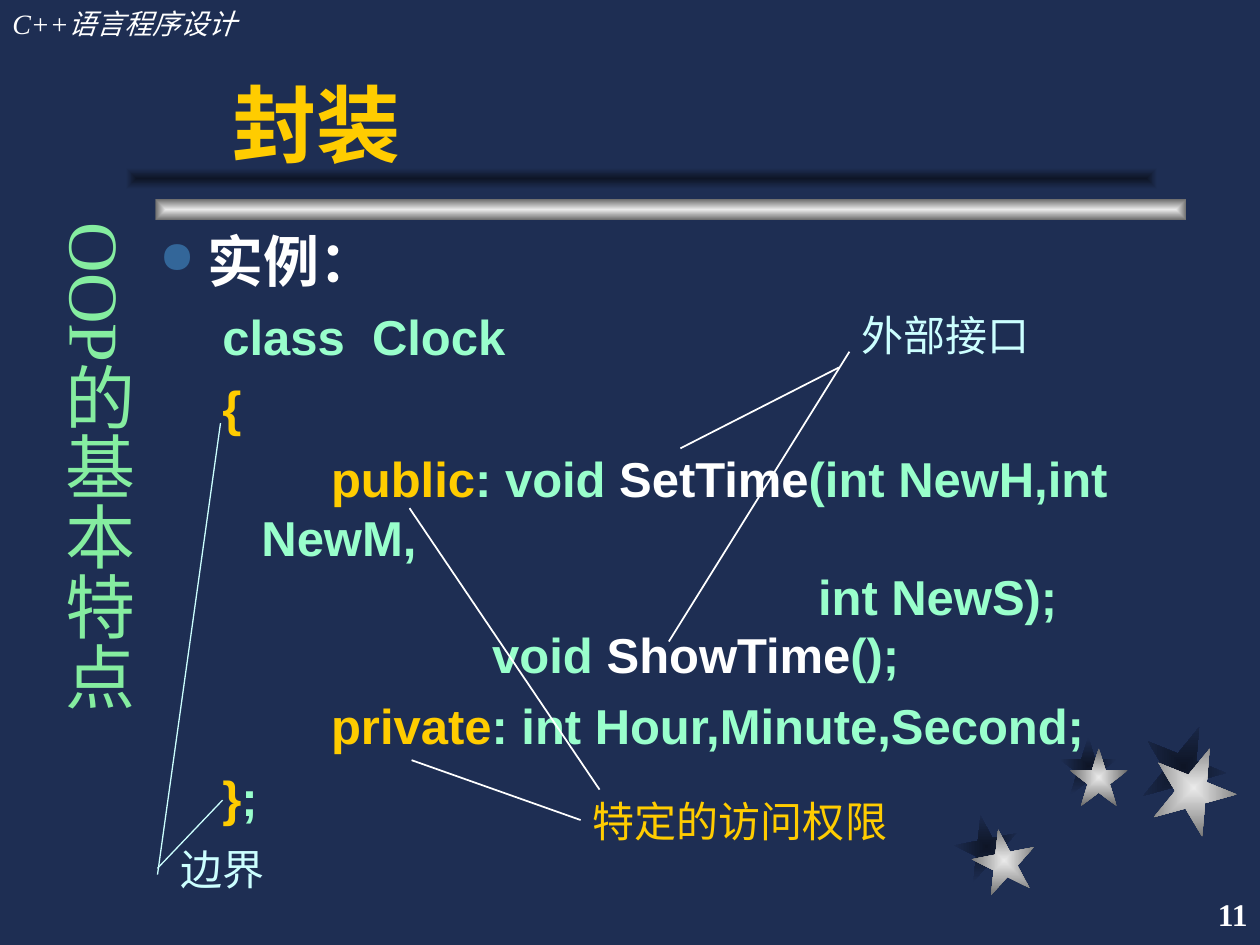
from pptx import Presentation
from pptx import util as u
from pptx.dml.color import RGBColor
from pptx.enum import shapes, text
from pptx.oxml import parse_xml
from pptx.oxml.ns import nsdecls, qn

# Theme: colours, fonts and type sizes
THEME = {
    "back": "1E2E53", "dark": "0E1526", "pale": "EAEAEA", "grey": "6C6C6C",
    "white": "FFFFFF", "gold": "FFCC00", "mint": "99FFCC", "ice": "CCFFFF",
    "green": "85EDA0", "dot": "336699",
    "sans": "Arial", "serif": "Times New Roman",
    "head": 16, "page": 18, "note": 24, "code": 28, "lead": 32,
    "side": 40, "title": 48,
}

# Content; places are in cells of a grid of 120 columns by 90 rows
COLS, ROWS = 120, 90

STEEL, SHADE = ("pale", "grey"), ("dark", "back")
STARS = [  # left, top, side, turn, colours
    (90.96, 77.64, 6, -11, SHADE),
    (100.9, 70.2, 5.5, 0, SHADE),
    (108.7, 69, 8, 22, SHADE),
    (92.64, 78.96, 6, -11, STEEL),
    (101.9, 71.28, 5.5, 0, STEEL),
    (109.7, 71.04, 8, 22, STEEL),
]
BARS = [((14.8, 18.96, 98.2, 2), STEEL), ((12, 16, 98.2, 2), SHADE)]

NOTES = [  # words, box, size, colour
    ("边界", (16, 79.7, 12, 6), "note", "ice"),
    ("特定的访问权限", (55.3, 75.2, 31, 6), "note", "gold"),
    ("外部接口", (80.9, 28.9, 22.6, 6), "note", "ice"),
]
LINES = [  # from, to, colour, width
    ((21, 40.3), (15, 83.3), "ice", 0.75),
    ((21.2, 76.2), (15, 82.7), "ice", 0.75),
    ((63.7, 61.1), (80.9, 33.5), "white", 1),
    ((64.8, 42.7), (79.9, 35), "white", 1),
    ((39, 48.4), (57.1, 75.2), "white", 1),
    ((39.2, 72.4), (55.3, 78.1), "white", 1),
]
CODE = [  # paragraphs of (words, colour); a new line is a soft break
    [("class  Clock", "mint")],
    [("{", "gold")],
    [("        ", "mint"), ("public", "gold"), (": void ", "mint"),
     ("SetTime", "white"),
     ("(int NewH,int NewM,\n"
      "                                         int NewS);\n"
      "                 void ", "mint"),
     ("ShowTime", "white"), ("();", "mint")],
    [("        ", "mint"), ("private", "gold"),
     (": int Hour,Minute,Second;", "mint")],
    [("}", "gold"), (";", "mint")],
]

deck = Presentation()
deck.slide_width, deck.slide_height = u.Inches(10), u.Inches(7.5)
slide = deck.slides.add_slide(deck.slide_layouts[6])


def place(*cells):
    """Turn column, row pairs into slide lengths."""
    units = (deck.slide_width / COLS, deck.slide_height / ROWS)
    return [round(c * units[i % 2]) for i, c in enumerate(cells)]


def tint(name):
    return RGBColor.from_string(THEME[name])


def add_run(para, words, size, color, face="serif", bold=False, slant=False):
    for i, line in enumerate(words.split("\n")):
        if i:
            para.add_line_break()
        run = para.add_run()
        run.text = line
        font = run.font
        font.name, font.size = THEME[face], u.Pt(THEME[size])
        font.bold, font.italic = bold, slant
        font.color.rgb = tint(color)


def add_box(*cells):
    frame = slide.shapes.add_textbox(*place(*cells)).text_frame
    frame.word_wrap = True
    return frame


def add_steel(kind, cells, pair, turn=0):
    """Add a shape whose colours run from its centre to its edge."""
    shape = slide.shapes.add_shape(kind, *place(*cells))
    shape.rotation = turn
    shape.shadow.inherit = False
    shape.line.fill.background()
    shape.fill.gradient()
    for stop, name in zip(shape.fill.gradient_stops, pair):
        stop.color.rgb = tint(name)
    grad = shape._element.spPr.find(qn("a:gradFill"))
    grad.remove(grad.find(qn("a:lin")))
    grad.append(parse_xml(
        f'<a:path {nsdecls("a")} path="rect"><a:fillToRect l="50000" '
        't="50000" r="50000" b="50000"/></a:path>'))


def indent(para, left, first):
    props = para._p.get_or_add_pPr()
    props.set("marL", str(u.Inches(left)))
    props.set("indent", str(u.Inches(first)))
    return props


# Background, stars and bars
slide.background.fill.solid()
slide.background.fill.fore_color.rgb = tint("back")
for left, top, side, turn, pair in STARS:
    add_steel(shapes.MSO_SHAPE.STAR_5_POINT, (left, top, side, side), pair, turn)
for cells, pair in BARS:
    add_steel(shapes.MSO_SHAPE.RECTANGLE, cells, pair)

# Running head and page number
add_run(add_box(0, 0, 37, 4.4).paragraphs[0], "C++语言程序设计",
        "head", "white", slant=True)
page = add_box(95, 84, 25, 6)
page.word_wrap = False
page.vertical_anchor = text.MSO_ANCHOR.MIDDLE
page.paragraphs[0].alignment = text.PP_ALIGN.RIGHT
add_run(page.paragraphs[0], "11", "page", "white", bold=True)

# Title
title = add_box(21, 6, 91, 11)
title.vertical_anchor = text.MSO_ANCHOR.BOTTOM
title.paragraphs[0].line_spacing = 0.8
add_run(title.paragraphs[0], "封装", "title", "gold", "sans", True)

# Lead line with its bullet, then the code
body = add_box(14, 21, 106, 60.8)
lead = body.paragraphs[0]
props = indent(lead, 0.38, -0.38)
for tag in (f'buClr {nsdecls("a")}><a:srgbClr val="{THEME["dot"]}"/></a:buClr',
            f'buSzPct {nsdecls("a")} val="80000"/',
            f'buChar {nsdecls("a")} char="●"/'):
    props.append(parse_xml(f"<a:{tag}>"))
add_run(lead, "实例：", "lead", "white", "sans", True)
for parts in CODE:
    para = body.add_paragraph()
    indent(para, 0.81, -0.31)
    para.space_before = u.Pt(7)
    for words, color in parts:
        add_run(para, words, "code", color, "sans", True)

# Upright side heading
side = add_box(3.6, 20, 10.3, 62)
side.margin_left = side.margin_right = u.Inches(0.05)
side.margin_top = side.margin_bottom = u.Inches(0.1)
side._txBody.bodyPr.set("vert", "eaVert")
add_run(side.paragraphs[0], "OOP的基本特点", "side", "green")

# Notes and the lines that lead to them
for words, cells, size, color in NOTES:
    add_run(add_box(*cells).paragraphs[0], words, size, color)
for start, end, color, width in LINES:
    line = slide.shapes.add_connector(
        shapes.MSO_CONNECTOR.STRAIGHT, *place(*start, *end))
    line.line.color.rgb = tint(color)
    line.line.width = u.Pt(width)
    line._element.spPr.append(parse_xml(f'<a:effectLst {nsdecls("a")}/>'))

deck.save("out.pptx")
